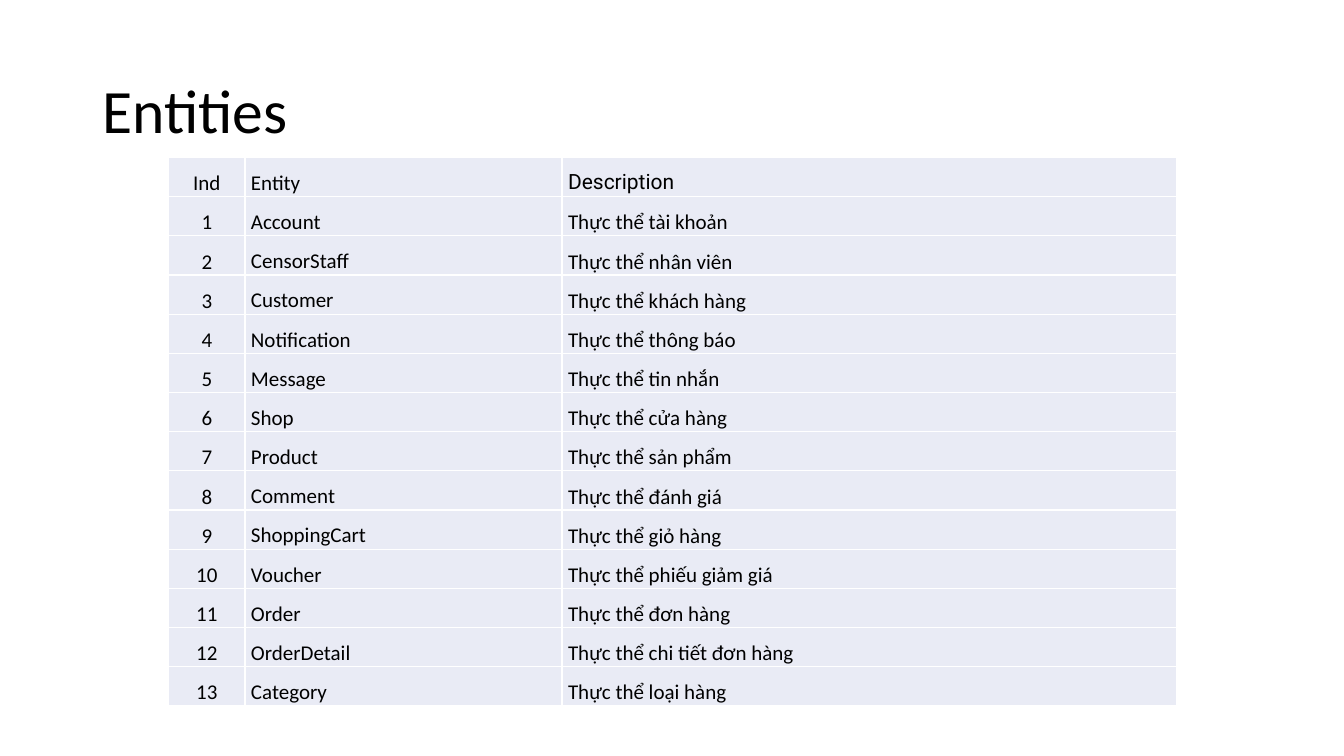
from lxml.etree import SubElement
from pptx import Presentation
from pptx.dml.color import RGBColor
from pptx.enum.text import MSO_ANCHOR, PP_ALIGN
from pptx.oxml.ns import qn
from pptx.util import Pt

ENTITIES = [
    ("Account", "Thực thể tài khoản"),
    ("CensorStaff", "Thực thể nhân viên"),
    ("Customer", "Thực thể khách hàng"),
    ("Notification", "Thực thể thông báo"),
    ("Message", "Thực thể tin nhắn"),
    ("Shop", "Thực thể cửa hàng"),
    ("Product", "Thực thể sản phẩm"),
    ("Comment", "Thực thể đánh giá"),
    ("ShoppingCart", "Thực thể giỏ hàng"),
    ("Voucher", "Thực thể phiếu giảm giá"),
    ("Order", "Thực thể đơn hàng"),
    ("OrderDetail", "Thực thể chi tiết đơn hàng"),
    ("Category", "Thực thể loại hàng"),
]
COLUMN_WIDTHS = [54.5, 226.5, 439]
ROW_HEIGHT = 28


def write(text_frame, text, size, line_spacing, font_name="Calibri"):
    paragraph = text_frame.paragraphs[0]
    paragraph.line_spacing = line_spacing
    run = paragraph.add_run()
    run.text = text
    run.font.size = Pt(size)
    run.font.name = font_name
    run.font.color.rgb = RGBColor.from_string("000000")
    return paragraph


def add_borders(cell, color):
    properties = cell._tc.get_or_add_tcPr()
    for side in ("a:lnL", "a:lnR", "a:lnT", "a:lnB"):
        line = SubElement(properties, qn(side), w=str(Pt(1)))
        fill = SubElement(line, qn("a:solidFill"))
        SubElement(fill, qn("a:srgbClr"), val=color)


presentation = Presentation()
presentation.slide_width = Pt(960)
presentation.slide_height = Pt(540)
slide = presentation.slides.add_slide(presentation.slide_layouts[6])

# Title
title = slide.shapes.add_textbox(Pt(66), Pt(28.5), Pt(828), Pt(104.5))
title.text_frame.word_wrap = True
title.text_frame.vertical_anchor = MSO_ANCHOR.MIDDLE
write(title.text_frame, "Entities", 44, 0.9)

# Entity table
rows = [("Ind", "Entity", "Description")]
rows += [(str(number), *entity) for number, entity in enumerate(ENTITIES, 1)]
table = slide.shapes.add_table(
    len(rows), len(COLUMN_WIDTHS), Pt(120.5), Pt(112.5),
    Pt(sum(COLUMN_WIDTHS)), Pt(ROW_HEIGHT * len(rows))).table
for column, width in zip(table.columns, COLUMN_WIDTHS):
    column.width = Pt(width)

for row_index, row in enumerate(rows):
    table.rows[row_index].height = Pt(ROW_HEIGHT)
    for column_index, text in enumerate(row):
        cell = table.cell(row_index, column_index)
        cell.margin_left = cell.margin_right = Pt(4.3)
        cell.margin_top = cell.margin_bottom = Pt(0)
        add_borders(cell, "FFFFFF")
        cell.fill.solid()
        cell.fill.fore_color.rgb = RGBColor.from_string("E9EBF5")
        if row_index > 0 and column_index != 1:
            cell.vertical_anchor = MSO_ANCHOR.MIDDLE
        font_name = "Roboto" if text == "Description" else "Calibri"
        paragraph = write(cell.text_frame, text, 15, 1.5, font_name)
        paragraph.alignment = PP_ALIGN.CENTER if column_index == 0 else PP_ALIGN.LEFT

presentation.save("out.pptx")
